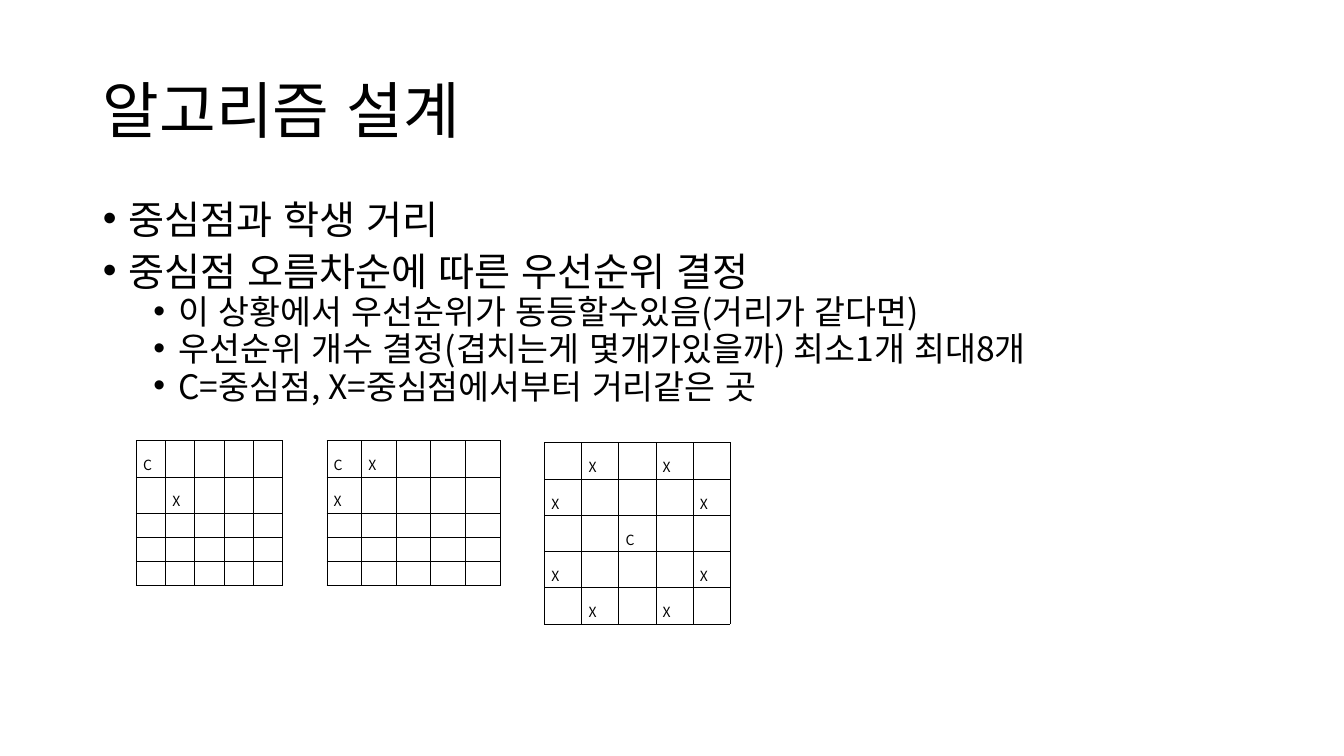
"""Build the algorithm design slide with its three grid examples."""
import pptx
import pptx.util
import pptx.dml.color
import pptx.enum.lang
import pptx.enum.text
import pptx.oxml.ns
from lxml import etree

FONT = "Noto Sans CJK KR"
BLACK = "000000"
TITLE = "알고리즘 설계"
BULLETS = [
    (0, "중심점과 학생 거리"),
    (0, "중심점 오름차순에 따른 우선순위 결정"),
    (1, "이 상황에서 우선순위가 동등할수있음(거리가 같다면)"),
    (1, "우선순위 개수 결정(겹치는게 몇개가있을까) 최소1개 최대8개"),
    (1, "C=중심점, X=중심점에서부터 거리같은 곳"),
]
LEVELS = [(28, 11.5, 0.25), (24, 5, 0.75)]
GRIDS = [
    (1.35, 4.37, 1.45, ["C....", ".X...", ".....", ".....", "....."]),
    (3.24, 4.37, 1.72, ["CX...", "X....", ".....", ".....", "....."]),
    (5.4, 4.39, 1.84, [".X.X.", "X...X", "..C..", "X...X", ".X.X."]),
]
MARKED_ROW, EMPTY_ROW = 0.36, 0.24

Inches, Pt = pptx.util.Inches, pptx.util.Pt
qn = pptx.oxml.ns.qn
ALIGN = pptx.enum.text.PP_ALIGN
ANCHOR = pptx.enum.text.MSO_ANCHOR


def rgb(value):
    return pptx.dml.color.RGBColor.from_string(value)


def set_font(p, size):
    p.font.size = Pt(size)
    p.font.name = FONT
    p.font.color.rgb = rgb(BLACK)
    p.font.language_id = pptx.enum.lang.MSO_LANGUAGE_ID.KOREAN
    props = p._p.get_or_add_pPr().find(qn("a:defRPr"))
    props.set("kern", "0")
    etree.SubElement(props, qn("a:ea"), typeface=FONT)


def set_bullet(p, indent):
    props = p._p.get_or_add_pPr()
    props.set("marL", str(Inches(indent)))
    props.set("indent", str(Inches(-0.25)))
    font = etree.Element(qn("a:buFont"), typeface="Arial")
    char = etree.Element(qn("a:buChar"), char="•")
    props.find(qn("a:defRPr")).addprevious(font)
    font.addnext(char)


def set_borders(cell):
    props = cell._tc.get_or_add_tcPr()
    for i, side in enumerate(("lnL", "lnR", "lnT", "lnB")):
        line = etree.Element(qn(f"a:{side}"), w=str(Pt(0.28)))
        fill = etree.SubElement(line, qn("a:solidFill"))
        etree.SubElement(fill, qn("a:srgbClr"), val=BLACK)
        props.insert(i, line)


def place(shape, left, top, width, height):
    shape.left, shape.top = Inches(left), Inches(top)
    shape.width, shape.height = Inches(width), Inches(height)


def fill_cell(cell, mark):
    cell.fill.background()
    set_borders(cell)
    cell.margin_left = cell.margin_right = Inches(0.07)
    cell.margin_top = cell.margin_bottom = Inches(0.02)
    cell.vertical_anchor = ANCHOR.MIDDLE
    p = cell.text_frame.paragraphs[0]
    if mark != ".":
        p.text = mark
        p.alignment = ALIGN.JUSTIFY
        p.line_spacing = 1.6
    set_font(p, 10)


def add_grid(s, left, top, width, rows):
    heights = [MARKED_ROW if row.strip(".") else EMPTY_ROW for row in rows]
    frame = s.shapes.add_table(len(rows), len(rows[0]), Inches(left), Inches(top),
                               Inches(width), Inches(sum(heights)))
    table = frame.table
    table.first_row = table.horz_banding = False
    for r, (row, height) in enumerate(zip(rows, heights)):
        table.rows[r].height = Inches(height)
        for c, mark in enumerate(row):
            fill_cell(table.cell(r, c), mark)


def main():
    prs = pptx.Presentation()
    prs.slide_width, prs.slide_height = Inches(13.33), Inches(7.5)
    s = prs.slides.add_slide(prs.slide_layouts[1])

    title, body = s.shapes.title, s.placeholders[1]
    place(title, 0.92, 0.4, 11.5, 1.45)
    place(body, 0.92, 2, 11.5, 2.23)
    for sp in (title, body):
        sp.text_frame.auto_size = pptx.enum.text.MSO_AUTO_SIZE.NONE

    title.text_frame.text = TITLE
    title.text_frame.vertical_anchor = ANCHOR.MIDDLE
    p = title.text_frame.paragraphs[0]
    p.alignment = ALIGN.LEFT
    p.line_spacing = 0.9
    set_font(p, 44)

    tf = body.text_frame
    tf.text = "\n".join(text for _, text in BULLETS)
    for p, (level, _) in zip(tf.paragraphs, BULLETS):
        size, before, indent = LEVELS[level]
        p.level = level
        p.line_spacing = 0.75
        p.space_before = Pt(before)
        set_font(p, size)
        set_bullet(p, indent)

    for grid in GRIDS:
        add_grid(s, *grid)
    prs.save("out.pptx")


if __name__ == "__main__":
    main()
